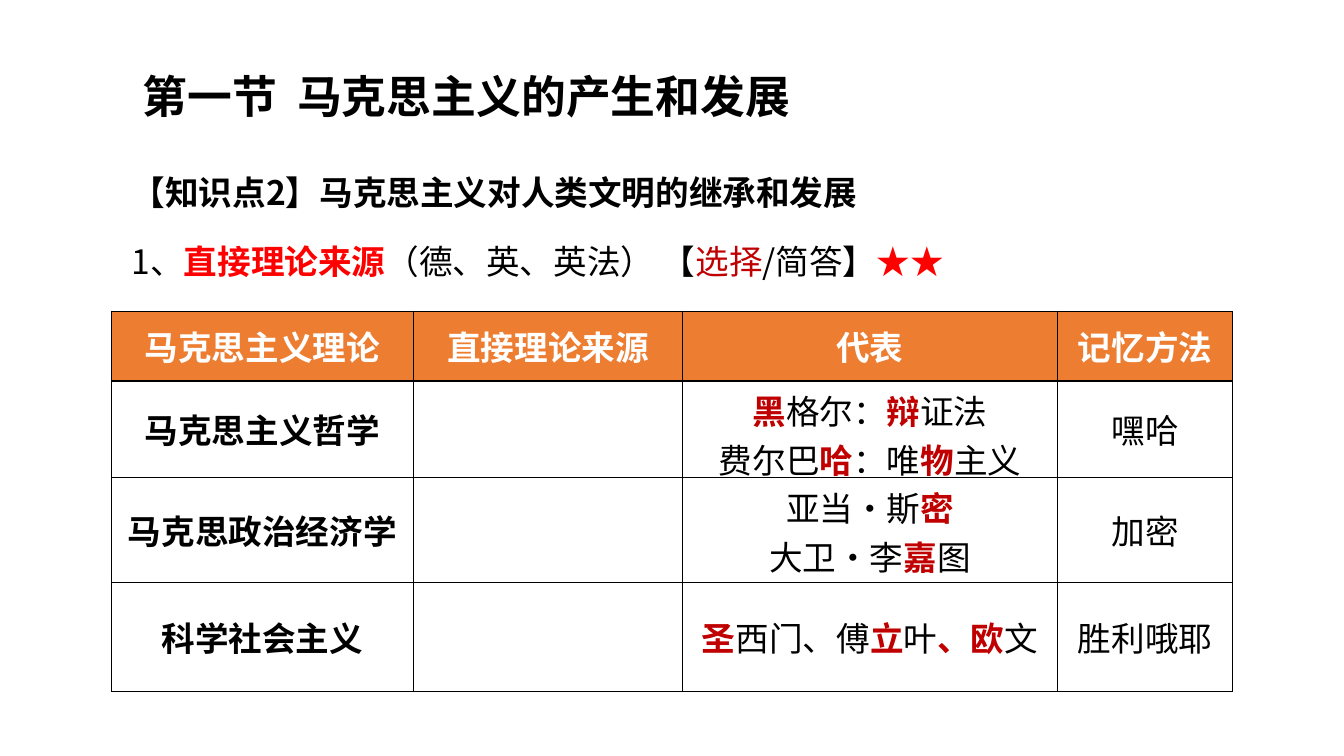
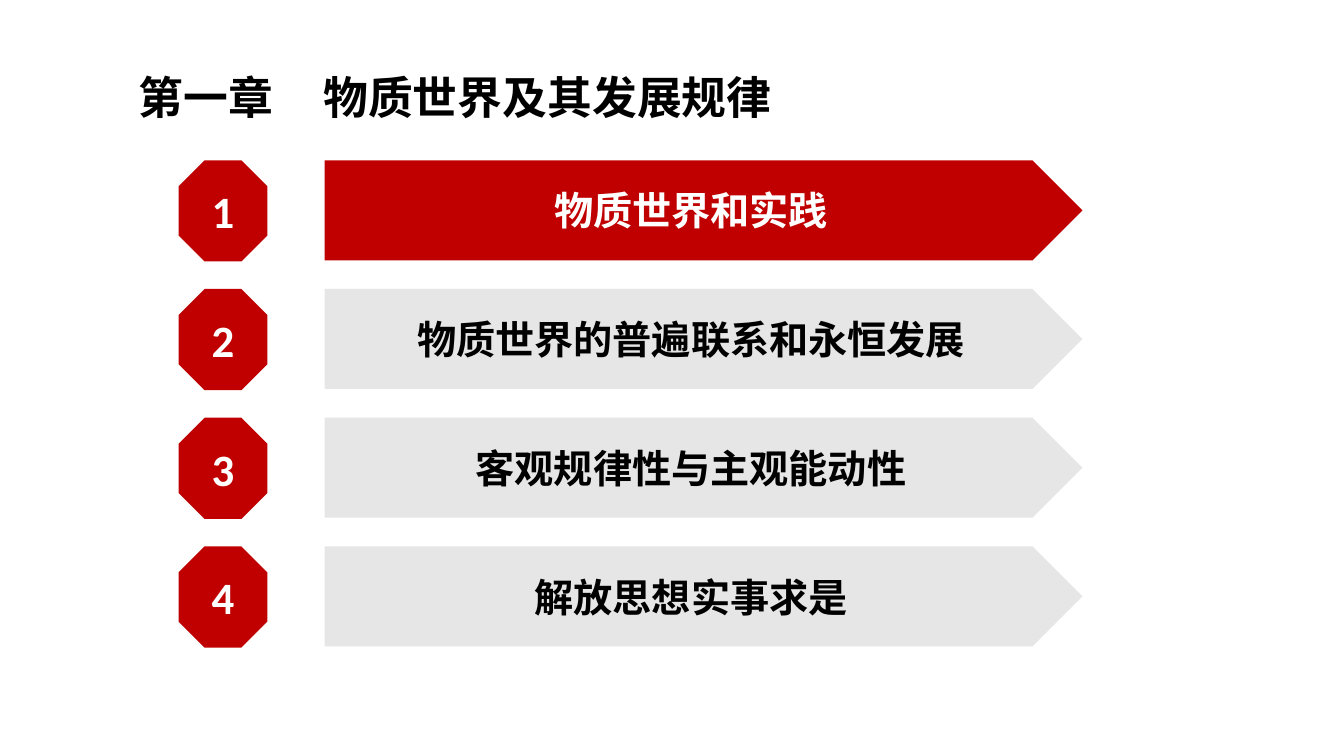
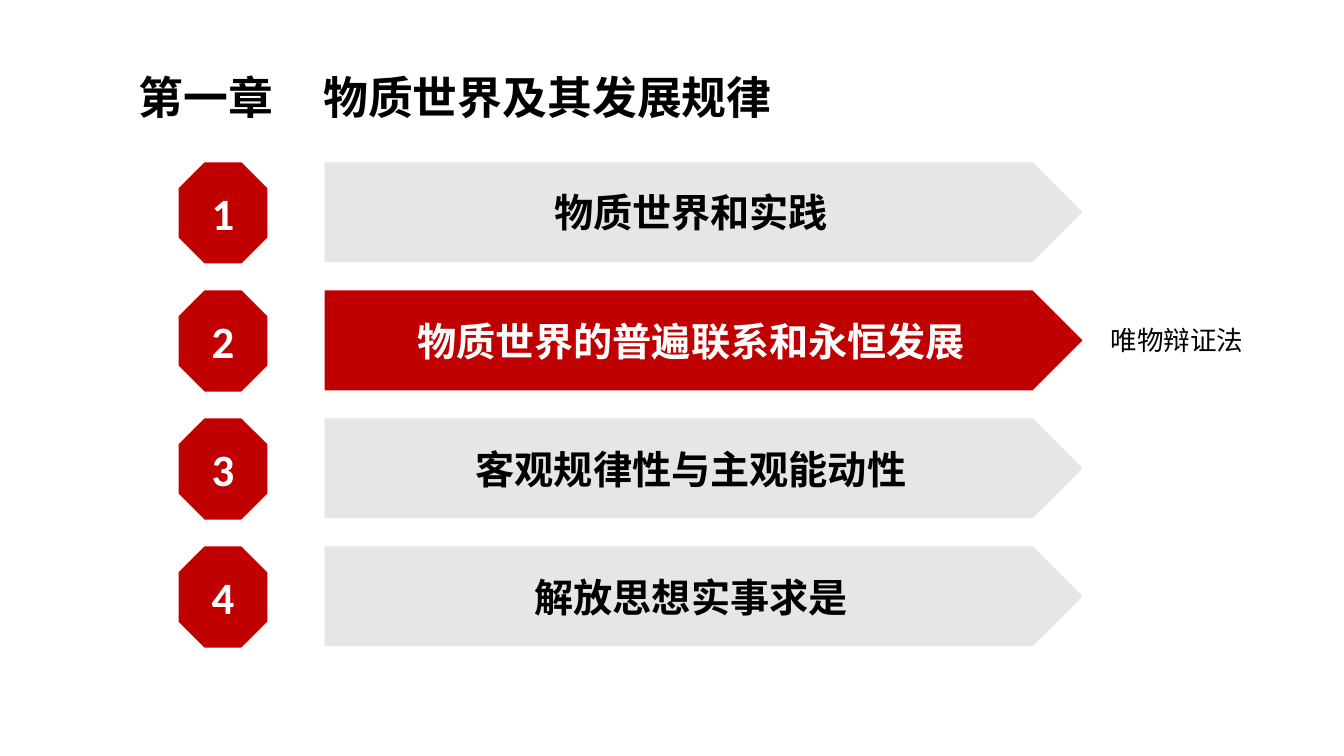
from lxml import etree
from pptx import Presentation
from pptx.dml.color import RGBColor
from pptx.enum import shapes, text
from pptx.oxml import ns
from pptx.util import Cm, Pt

BLACK = RGBColor(0x00, 0x00, 0x00)
WHITE = RGBColor(0xFF, 0xFF, 0xFF)
RED = RGBColor(0xFF, 0x00, 0x00)
CRIMSON = RGBColor(0xC0, 0x00, 0x00)
GREY = RGBColor(0xE7, 0xE6, 0xE6)
ORANGE = RGBColor(0xED, 0x7D, 0x31)
CHINESE = "Noto Sans CJK SC"
LATIN = "Calibri"
CENTER = text.PP_ALIGN.CENTER
MIDDLE = text.MSO_ANCHOR.MIDDLE

SECTION_TITLE = "第一节\t马克思主义的产生和发展"
TOPIC = "【知识点2】马克思主义对人类文明的继承和发展"
SOURCES = [
    ("1、", BLACK, False),
    ("直接理论来源", RED, True),
    ("（德、英、英法） 【", BLACK, False),
    ("选择", CRIMSON, False),
    ("/简答】", BLACK, False),
    ("★★", RED, False),
]
HEADERS = ["马克思主义理论", "直接理论来源", "代表", "记忆方法"]
THEORIES = [
    ("马克思主义哲学", ["*黑*格尔：*辩*证法", "费尔巴*哈*：唯*物*主义"], "嘿哈"),
    ("马克思政治经济学", ["亚当·斯*密*", "大卫·李*嘉*图"], "加密"),
    ("科学社会主义", ["*圣*西门、傅*立*叶*、欧*文"], "胜利哦耶"),
]
COLUMN_WIDTHS = [7.62, 6.78, 9.45, 4.42]
ROW_HEIGHTS = [1.75, 2.44, 2.64, 2.74]

CHAPTER_TITLE = "第一章\t物质世界及其发展规律"
SECTIONS = ["物质世界和实践", "物质世界的普遍联系和永恒发展", "客观规律性与主观能动性", "解放思想实事求是"]
LAST_TOP = 13.77
AGENDAS = [
    {"current": 0, "first_top": 4.04, "note": None},
    {"current": 1, "first_top": 4.09, "note": "唯物辩证法"},
]


def marked(line):
    parts = enumerate(line.split("*"))
    return [(part, CRIMSON if i % 2 else BLACK, bool(i % 2)) for i, part in parts if part]


def write(frame, lines, size=24, font=CHINESE, color=BLACK, bold=False,
          align=None, spacing=None, tab=None):
    lines = [lines] if isinstance(lines, str) else lines
    for i, line in enumerate(lines):
        para = frame.add_paragraph() if i else frame.paragraphs[0]
        if tab:
            stops = etree.SubElement(para._p.get_or_add_pPr(), ns.qn("a:tabLst"))
            etree.SubElement(stops, ns.qn("a:tab"), pos=str(Cm(tab)), algn="l")
        para.alignment = align
        para.line_spacing = spacing
        spans = [(line, color, bold)] if isinstance(line, str) else line
        for content, span_color, span_bold in spans:
            span = para.add_run()
            span.text = content
            span.font.name = font
            span.font.size = Pt(size)
            span.font.bold = span_bold
            span.font.color.rgb = span_color
            east_asian = etree.SubElement(span._r.get_or_add_rPr(), ns.qn("a:ea"))
            east_asian.set("typeface", CHINESE)


def add_text(page, place, lines, anchor=text.MSO_ANCHOR.TOP, **style):
    box = page.shapes.add_textbox(*map(Cm, place))
    box.text_frame.word_wrap = True
    box.text_frame.vertical_anchor = anchor
    write(box.text_frame, lines, **style)


def add_title(page, place, title, **style):
    add_text(page, place, title, size=32, bold=True, **style)


def add_label(page, kind, place, fill, label, **style):
    shape = page.shapes.add_shape(kind, *map(Cm, place))
    shape.shadow.inherit = False
    shape.fill.solid()
    shape.fill.fore_color.rgb = fill
    shape.line.fill.background()
    shape.text_frame.vertical_anchor = MIDDLE
    write(shape.text_frame, label, bold=True, align=CENTER, **style)


def fill_cell(cell, lines, fill=WHITE, **style):
    cell.fill.solid()
    cell.fill.fore_color.rgb = fill
    cell.vertical_anchor = MIDDLE
    properties = cell._tc.get_or_add_tcPr()
    for i, side in enumerate(["a:lnL", "a:lnR", "a:lnT", "a:lnB"]):
        border = etree.Element(ns.qn(side), w=str(Pt(1)))
        paint = etree.SubElement(border, ns.qn("a:solidFill"))
        etree.SubElement(paint, ns.qn("a:srgbClr"), val=str(BLACK))
        properties.insert(i, border)
    write(cell.text_frame, lines, align=CENTER, **style)


def add_theory_table(page):
    table = page.shapes.add_table(
        len(ROW_HEIGHTS), len(COLUMN_WIDTHS), Cm(2.8), Cm(7.85),
        Cm(sum(COLUMN_WIDTHS)), Cm(sum(ROW_HEIGHTS))).table
    for column, width in zip(table.columns, COLUMN_WIDTHS):
        column.width = Cm(width)
    for row, height in zip(table.rows, ROW_HEIGHTS):
        row.height = Cm(height)
    for i, header in enumerate(HEADERS):
        fill_cell(table.cell(0, i), header, ORANGE, color=WHITE, bold=True)
    for i, (theory, people, memory) in enumerate(THEORIES, 1):
        fill_cell(table.cell(i, 0), theory, bold=True)
        fill_cell(table.cell(i, 1), [])
        fill_cell(table.cell(i, 2), [marked(person) for person in people])
        fill_cell(table.cell(i, 3), memory)


def add_agenda(page, current, first_top, note):
    add_title(page, (3.25, 1.52, 26.7, 2), CHAPTER_TITLE, anchor=MIDDLE, spacing=0.9, tab=4.65)
    pitch = (LAST_TOP - first_top) / (len(SECTIONS) - 1)
    for i, section in enumerate(SECTIONS):
        top = first_top + i * pitch
        fill, color = (CRIMSON, WHITE) if i == current else (GREY, BLACK)
        add_label(page, shapes.MSO_SHAPE.OCTAGON, (4.5, top, 2.24, 2.55), CRIMSON,
                  str(i + 1), size=32, font=LATIN, color=WHITE)
        add_label(page, shapes.MSO_SHAPE.PENTAGON, (8.18, top, 19.1, 2.52), fill,
                  section, size=28, color=color)
    if note:
        add_text(page, (27.74, 8.03, 5.79, 1.07), note, size=19, font=LATIN)


def main():
    deck = Presentation()
    deck.slide_width, deck.slide_height = Cm(33.87), Cm(19.05)
    blank = deck.slide_layouts[6]

    page = deck.slides.add_slide(blank)
    add_title(page, (3.35, 1.6, 16.97, 1.63), SECTION_TITLE, tab=3.89)
    add_text(page, (3.07, 3.78, 18.92, 1.63), TOPIC, anchor=MIDDLE, bold=True, spacing=1.5)
    add_text(page, (3.07, 5.94, 23.6, 2.31), [SOURCES])
    add_theory_table(page)

    for agenda in AGENDAS:
        add_agenda(deck.slides.add_slide(blank), **agenda)
    deck.save("out.pptx")


if __name__ == "__main__":
    main()
